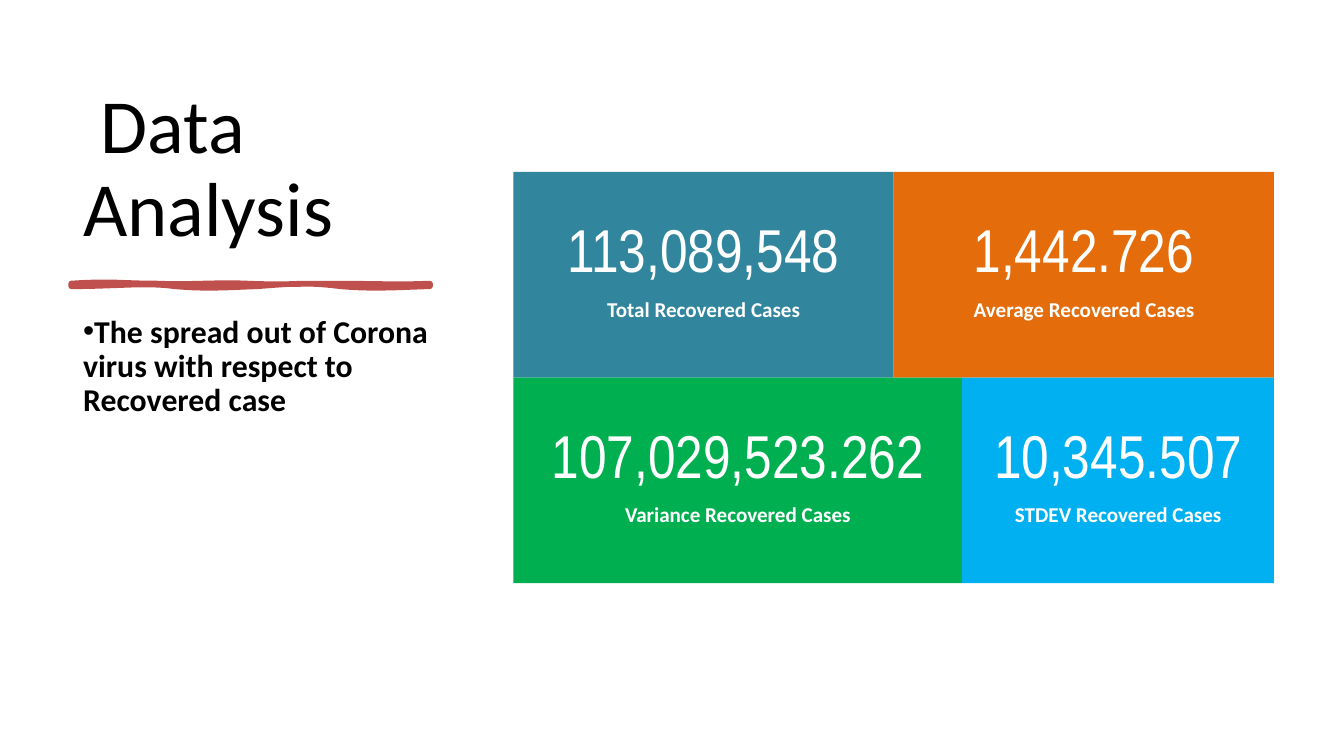
from dataclasses import dataclass

from lxml import etree
from pptx import Presentation
from pptx.dml.color import RGBColor
from pptx.enum.shapes import MSO_SHAPE
from pptx.enum.text import MSO_ANCHOR, PP_ALIGN
from pptx.oxml.ns import qn
from pptx.slide import Slide
from pptx.text.text import TextFrame, _Paragraph
from pptx.util import Inches, Pt

RECTANGLE = MSO_SHAPE.RECTANGLE
TOP, BOTTOM = MSO_ANCHOR.TOP, MSO_ANCHOR.BOTTOM
LEFT, CENTER = PP_ALIGN.LEFT, PP_ALIGN.CENTER

BLACK, WHITE, RED = "000000", "FFFFFF", "C0504D"
GRID_LEFT, GRID_TOP, GRID_WIDTH, CARD_HEIGHT = 3.82, 1.28, 5.66, 1.53
CURVE_STEPS = 12

Point = tuple[float, float]
STROKE_START: Point = (0.53, 2.11)
STROKE_CURVES: list[tuple[Point, Point, Point]] = [
    ((0.83, 2.09), (0.92, 2.11), (1.17, 2.11)),
    ((1.42, 2.12), (1.61, 2.10), (1.84, 2.11)),
    ((2.06, 2.12), (2.27, 2.11), (2.50, 2.11)),
    ((2.74, 2.11), (2.99, 2.12), (3.20, 2.11)),
    ((3.20, 2.12), (3.20, 2.12), (3.20, 2.13)),
    ((2.90, 2.14), (2.76, 2.15), (2.53, 2.13)),
    ((2.30, 2.10), (2.17, 2.11), (1.92, 2.13)),
    ((1.66, 2.14), (1.52, 2.15), (1.30, 2.13)),
    ((1.08, 2.10), (0.89, 2.13), (0.53, 2.13)),
    ((0.53, 2.12), (0.53, 2.11), (0.53, 2.11)),
]


@dataclass(frozen=True)
class Card:
    """One statistic with its label, colour and share of the row."""

    value: str
    label: str
    color: str
    share: float


CARD_ROWS = [
    [
        Card("113,089,548", "Total Recovered Cases", "31859C", 0.5),
        Card("1,442.726", "Average Recovered Cases", "E46C0A", 0.5),
    ],
    [
        Card("107,029,523.262", "Variance Recovered Cases", "00B050", 0.59),
        Card("10,345.507", "STDEV Recovered Cases", "00B0F0", 0.41),
    ],
]


def rgb(color: str) -> RGBColor:
    """Turn a hex string into a colour."""
    return RGBColor.from_string(color)


def write(paragraph: _Paragraph, text: str, *, size: float, color: str,
          font: str = "Calibri", bold: bool = False,
          align: PP_ALIGN = LEFT, line_spacing: float = 1.0,
          before: float = 0, after: float = 0) -> None:
    """Put formatted text into a paragraph."""
    paragraph.alignment = align
    paragraph.line_spacing = line_spacing
    paragraph.space_before, paragraph.space_after = Pt(before), Pt(after)
    run = paragraph.add_run()
    run.text = text
    run.font.name, run.font.size, run.font.bold = font, Pt(size), bold
    run.font.color.rgb = rgb(color)


def add_text_box(slide: Slide, left: float, top: float, width: float,
                 height: float, anchor: MSO_ANCHOR) -> TextFrame:
    """Add a wrapping text box and return its text frame."""
    box = slide.shapes.add_textbox(
        Inches(left), Inches(top), Inches(width), Inches(height))
    box.text_frame.word_wrap = True
    box.text_frame.vertical_anchor = anchor
    return box.text_frame


def add_bullet(paragraph: _Paragraph) -> None:
    """Give a paragraph a round bullet with a hanging indent."""
    properties = paragraph._p.get_or_add_pPr()
    properties.set("marL", "0")
    properties.set("indent", str(Inches(-0.25)))
    etree.SubElement(properties, qn("a:buFont")).set("typeface", "Arial")
    etree.SubElement(properties, qn("a:buChar")).set("char", "•")


def curve_points(start: Point, first: Point, second: Point,
                 end: Point) -> list[Point]:
    """Sample a cubic curve, leaving out its start."""
    points = []
    for step in range(1, CURVE_STEPS + 1):
        t = step / CURVE_STEPS
        weights = ((1 - t) ** 3, 3 * t * (1 - t) ** 2, 3 * t ** 2 * (1 - t), t ** 3)
        corners = (start, first, second, end)
        x, y = (sum(weight * corner[axis] for weight, corner in zip(weights, corners))
                for axis in (0, 1))
        points.append((x, y))
    return points


def add_brush_stroke(slide: Slide) -> None:
    """Draw the wavy rule under the title."""
    points = [STROKE_START]
    for first, second, end in STROKE_CURVES:
        points += curve_points(points[-1], first, second, end)
    outline = [(Inches(x), Inches(y)) for x, y in points]
    builder = slide.shapes.build_freeform(*outline[0])
    builder.add_line_segments(outline[1:], close=True)
    stroke = builder.convert_to_shape()
    stroke.shadow.inherit = False
    stroke.fill.solid()
    stroke.fill.fore_color.rgb = rgb(RED)
    stroke.line.color.rgb = rgb(RED)
    stroke.line.width = Pt(3)
    etree.SubElement(stroke.line._get_or_add_ln(), qn("a:round"))


def add_card(slide: Slide, card: Card, left: float, top: float, width: float) -> None:
    """Draw one coloured statistic card."""
    shape = slide.shapes.add_shape(
        RECTANGLE, Inches(left), Inches(top), Inches(width), Inches(CARD_HEIGHT))
    shape.shadow.inherit = False
    shape.fill.solid()
    shape.fill.fore_color.rgb = rgb(card.color)
    shape.line.fill.background()
    frame = shape.text_frame
    frame.word_wrap = True
    frame.vertical_anchor = TOP
    frame.margin_top = Inches(0.3)
    write(frame.paragraphs[0], card.value, size=32.4, color=WHITE,
          font="Arial Narrow", align=CENTER, after=6)
    write(frame.add_paragraph(), card.label, size=11.3, color=WHITE,
          bold=True, align=CENTER, after=6)


def main() -> None:
    """Build and save the slide."""
    presentation = Presentation()
    presentation.slide_width = Inches(10)
    presentation.slide_height = Inches(10 * 9 / 16)
    slide = presentation.slides.add_slide(presentation.slide_layouts[6])

    title = add_text_box(slide, 0.52, 0.52, 2.81, 1.41, BOTTOM)
    write(title.paragraphs[0], " Data Analysis", size=41, color=BLACK,
          line_spacing=0.9)
    add_brush_stroke(slide)
    body = add_text_box(slide, 0.52, 2.3, 2.81, 2.8, TOP)
    write(body.paragraphs[0],
          "The spread out of Corona virus with respect to Recovered case",
          size=17, color=BLACK, bold=True, line_spacing=0.9, before=10)
    add_bullet(body.paragraphs[0])

    for row, cards in enumerate(CARD_ROWS):
        left = GRID_LEFT
        for card in cards:
            width = GRID_WIDTH * card.share
            add_card(slide, card, left, GRID_TOP + row * CARD_HEIGHT, width)
            left += width

    presentation.save("out.pptx")


if __name__ == "__main__":
    main()
